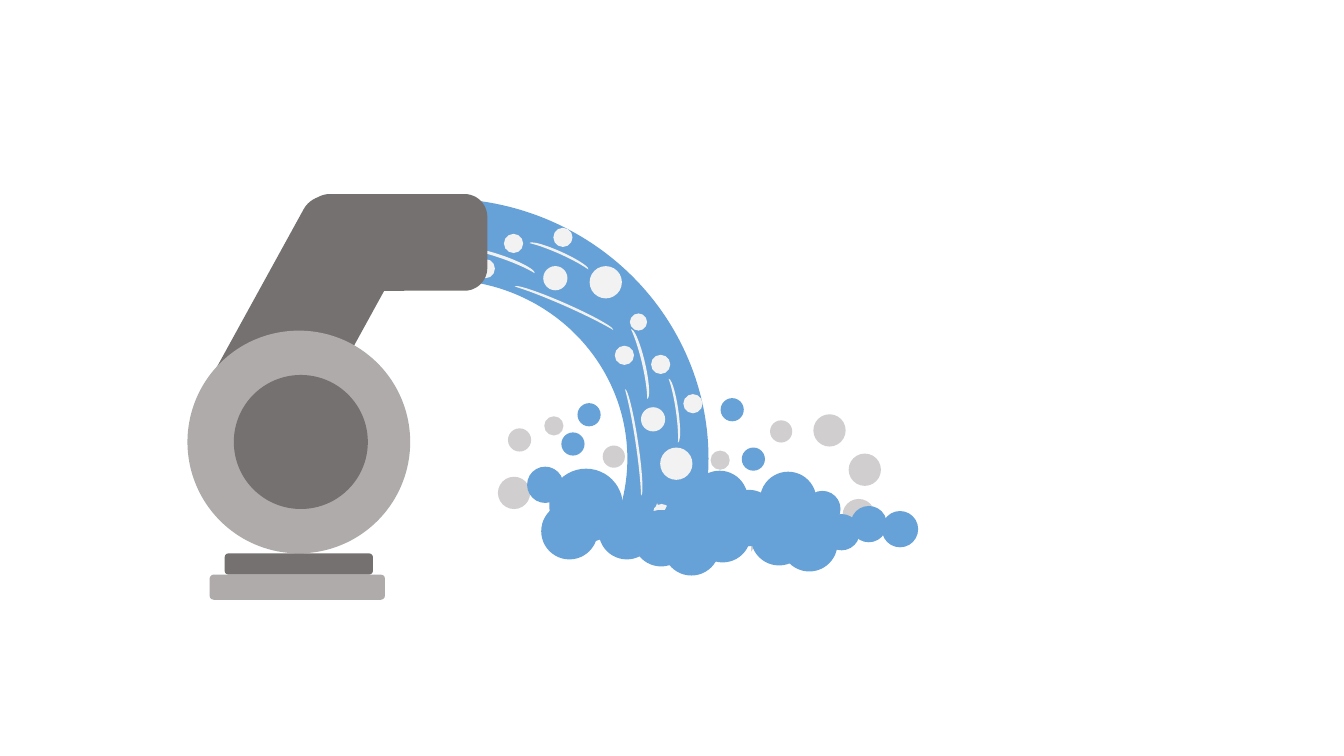
from pptx import Presentation
from pptx.dml.color import RGBColor
from pptx.enum.shapes import MSO_SHAPE
from pptx.util import Cm

OVAL = MSO_SHAPE.OVAL
DONUT = MSO_SHAPE.DONUT
MOON = MSO_SHAPE.MOON
RECTANGLE = MSO_SHAPE.RECTANGLE
ROUNDED = MSO_SHAPE.ROUNDED_RECTANGLE

WATER = RGBColor(0x66, 0xA2, 0xD8)
BUBBLE = RGBColor(0xF2, 0xF2, 0xF2)
MIST = RGBColor(0xD0, 0xCE, 0xCE)
DARK_METAL = RGBColor(0x76, 0x71, 0x71)
LIGHT_METAL = RGBColor(0xAF, 0xAB, 0xAB)
WHITE = RGBColor(0xFF, 0xFF, 0xFF)

CM_PER_INCH = 2.54
PIPE_ROUNDING = 0.236
JET_THICKNESS = 0.156

# Drops: diameter -> (left, top) positions, in inches
MIST_LEFT = {
    0.19: [(5.4, 4.13)],
    0.22: [(5.98, 4.42)],
    0.23: [(5.04, 4.25)],
    0.32: [(6.25, 4.75), (4.94, 4.73)],
}
MIST_RIGHT = {
    0.19: [(7.05, 4.47)],
    0.21: [(7.64, 5.39)],
    0.22: [(7.64, 4.17)],
    0.23: [(7.11, 4.86)],
    0.26: [(7.98, 5.33)],
    0.32: [(8.07, 4.11), (8.42, 4.5), (7.17, 5.21), (8.36, 4.95)],
}
JET_BUBBLES = {
    0.17: [(6.25, 3.11), (6.48, 5)],
    0.19: [(5.49, 2.26), (5, 2.32), (4.72, 2.57), (6.78, 3.91),
           (6.46, 3.52), (6.1, 3.43), (6.21, 5.04)],
    0.24: [(5.39, 2.64), (6.36, 4.04)],
    0.32: [(5.85, 2.64), (6.55, 4.44)],
}
FOAM = {
    0.23: [(5.73, 4), (5.57, 4.29), (7.15, 3.95), (7.36, 4.44)],
    0.36: [(5.23, 4.63), (7.98, 4.87), (8.17, 5.1), (8.44, 5.02), (8.75, 5.07)],
    0.56: [(5.37, 4.99), (5.94, 4.99), (6.28, 5.06), (6.58, 5.15), (6.89, 5.02),
           (6.58, 4.88), (6.86, 4.67), (7.15, 4.86), (7.45, 5.05), (7.75, 5.11),
           (7.54, 4.68)],
    0.73: [(5.45, 4.65)],
}
# Streaks: left, top, width, height, rotation
JET_STREAKS = [
    (5.58, 2.5, 0.05, 1.07, 113.8),
    (4.95, 2.21, 0.06, 0.71, 109.3),
    (5.53, 2.2, 0.05, 0.64, 114.1),
    (6.28, 3.85, 0.05, 1.07, 171.4),
    (6.34, 3.25, 0.06, 0.71, 166.9),
    (6.68, 3.75, 0.05, 0.64, 171.7),
    (6.34, 4.96, 0.06, 0.71, 209.6),
]


def add_part(shapes, kind, box, color, rotation=0, adjustment=None):
    """Add a borderless filled shape; box is left, top, width, height in inches."""
    part = shapes.add_shape(kind, *(Cm(side * CM_PER_INCH) for side in box))
    part.shadow.inherit = False
    part.fill.solid()
    part.fill.fore_color.rgb = color
    part.line.fill.background()
    part.rotation = rotation
    if adjustment is not None:
        part.adjustments[0] = adjustment


def add_drops(shapes, drops, color):
    for diameter, positions in drops.items():
        for left, top in positions:
            add_part(shapes, OVAL, (left, top, diameter, diameter), color)


def add_group(slide):
    return slide.shapes.add_group_shape().shapes


def add_jet(slide):
    """Draw the water as a ring, then hide all but its upper right arc."""
    jet = add_group(slide)
    add_part(jet, DONUT, (1.76, 1.97, 5.27, 5.16), WATER, adjustment=JET_THICKNESS)
    add_drops(jet, JET_BUBBLES, BUBBLE)
    for *box, rotation in JET_STREAKS:
        add_part(jet, MOON, box, BUBBLE, rotation)
    for cover in ((0, 1.76, 4.74, 4.05), (1.49, 5.09, 5.96, 3.04)):
        add_part(slide.shapes, RECTANGLE, cover, WHITE)


def add_pump(slide):
    pump = add_group(slide)
    add_part(pump, ROUNDED, (2.43, 1.95, 1.09, 2.65), DARK_METAL, 28.8, PIPE_ROUNDING)
    add_part(pump, OVAL, (1.86, 3.28, 2.21, 2.21), LIGHT_METAL)
    add_part(pump, OVAL, (2.32, 3.72, 1.33, 1.33), DARK_METAL)
    add_part(pump, ROUNDED, (2.23, 5.49, 1.47, 0.21), DARK_METAL)
    add_part(pump, ROUNDED, (2.08, 5.7, 1.74, 0.25), LIGHT_METAL)
    add_part(pump, ROUNDED, (3.46, 1.51, 0.96, 1.79), DARK_METAL, 90, PIPE_ROUNDING)


def main():
    deck = Presentation()
    deck.slide_width = Cm(33.87)
    deck.slide_height = Cm(19.05)
    slide = deck.slides.add_slide(deck.slide_layouts[6])
    add_drops(add_group(slide), MIST_LEFT, MIST)
    add_drops(add_group(slide), MIST_RIGHT, MIST)
    add_jet(slide)
    add_pump(slide)
    add_drops(add_group(slide), FOAM, WATER)
    deck.save("out.pptx")


if __name__ == "__main__":
    main()
